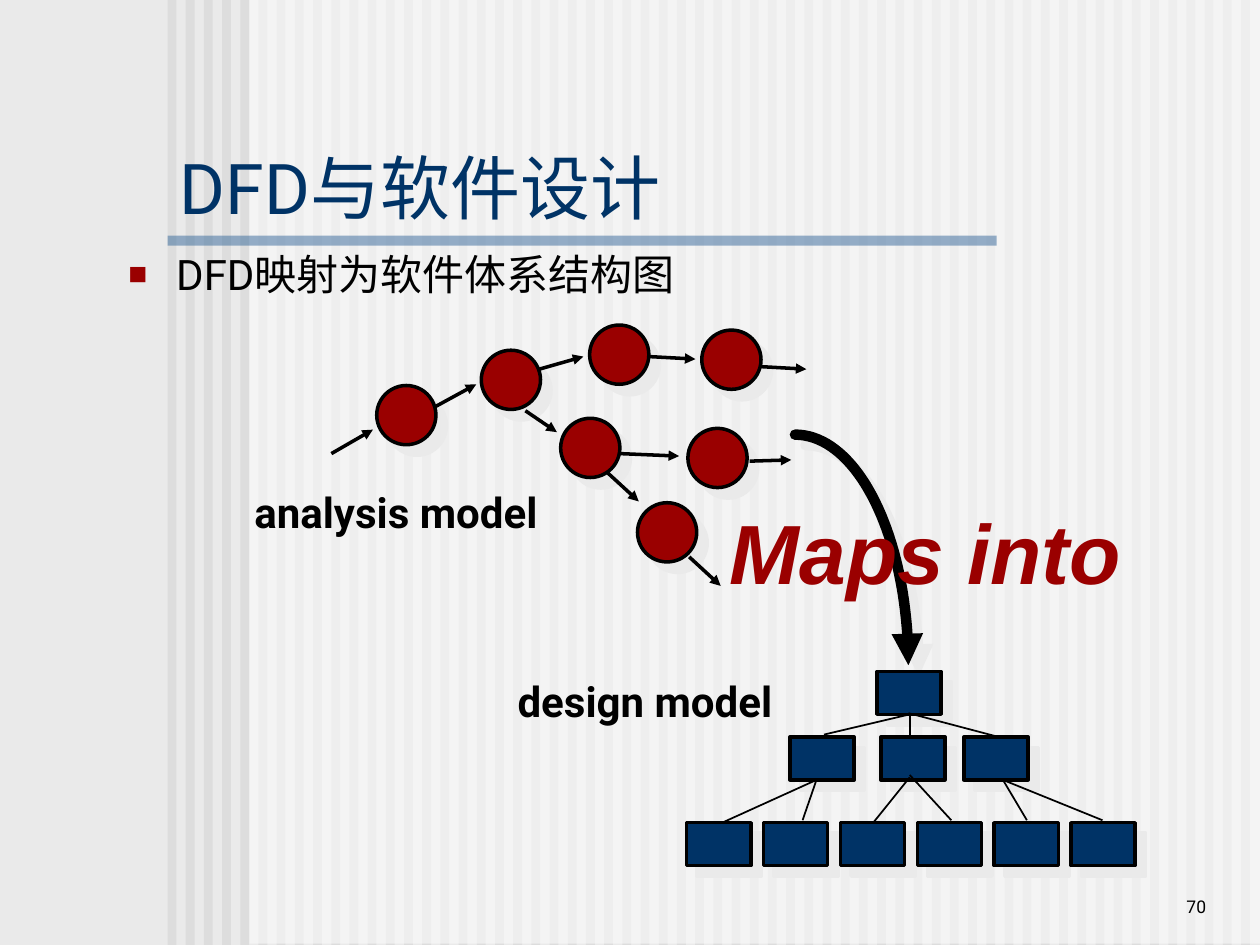
"""Build a slide that maps a data flow diagram onto a software structure chart."""
from typing import NamedTuple

from lxml import etree
from pptx import Presentation
from pptx.dml.color import RGBColor
from pptx.enum.shapes import MSO_CONNECTOR, MSO_SHAPE
from pptx.enum.text import MSO_ANCHOR, PP_ALIGN
from pptx.oxml.ns import qn
from pptx.util import Inches, Pt

RECT = MSO_SHAPE.RECTANGLE
OVAL = MSO_SHAPE.OVAL
STRAIGHT = MSO_CONNECTOR.STRAIGHT
TOP, BOTTOM = MSO_ANCHOR.TOP, MSO_ANCHOR.BOTTOM
LEFT, RIGHT = PP_ALIGN.LEFT, PP_ALIGN.RIGHT

BLACK = RGBColor(0x00, 0x00, 0x00)
WHITE = RGBColor(0xFF, 0xFF, 0xFF)
NAVY = RGBColor(0x00, 0x33, 0x66)
BLUE = RGBColor(0x33, 0x66, 0x99)
RED = RGBColor(0x9A, 0x00, 0x00)
PALE = RGBColor(0xEA, 0xEA, 0xEA)
STRIPE = RGBColor(0xDD, 0xDD, 0xDD)

STRIPES = 60
STRIPE_LEFT, STRIPE_LAST = 1.33, 9.85
CIRCLE = 0.47
BOX_W, BOX_H = 0.51, 0.34
CURVE_STEPS = 40


class Label(NamedTuple):
    text: str
    at: tuple[float, float, float, float]
    size: float
    color: RGBColor = BLACK
    font: str = "Roboto"
    bold: bool = False
    italic: bool = False
    wrap: bool = True
    anchor: MSO_ANCHOR = TOP
    align: PP_ALIGN = LEFT


class Link(NamedTuple):
    x1: float
    y1: float
    x2: float
    y2: float


TITLE = Label("DFD与软件设计", (1.33, 1.17, 8.67, 0.69), 40, NAVY, anchor=BOTTOM)
BODY = Label("DFD映射为软件体系结构图", (0.92, 1.92, 9.08, 0.5), 24)
NUMBER = Label("70", (8.25, 6.83, 1.42, 0.5), 10, anchor=BOTTOM, align=RIGHT)
MAPS = Label("Maps into", (5.69, 3.92, 3.31, 0.9), 48, RED, "Arial", True, True, False)
MODELS = [
    Label("analysis model", (1.92, 3.81, 2.59, 0.5), 24, bold=True, wrap=False),
    Label("design model", (4.01, 5.31, 2.34, 0.5), 24, bold=True, wrap=False),
]

CURVE = [(6.31, 3.45), (6.81, 3.45), (7.21, 4.27), (7.21, 5.28)]
PROCESSES = [(2.99, 3.06), (3.82, 2.78), (4.68, 2.58), (4.45, 3.32),
             (5.06, 3.99), (5.57, 2.62), (5.46, 3.4)]
FLOWS = [
    Link(2.63, 3.6, 2.96, 3.41), Link(3.45, 3.23, 3.78, 3.05),
    Link(4.28, 2.93, 4.63, 2.83), Link(5.15, 2.83, 5.52, 2.85),
    Link(6.04, 2.91, 6.4, 2.93), Link(4.17, 3.26, 4.42, 3.43),
    Link(4.82, 3.75, 5.07, 3.98), Link(5.47, 4.42, 5.72, 4.65),
    Link(5.95, 3.66, 6.28, 3.65), Link(4.92, 3.6, 5.39, 3.62),
]
MODULES = ([(6.96, 5.33)] + [(x, 5.85) for x in (6.27, 6.99, 7.65)]
           + [(5.45 + 0.61 * i, 6.53) for i in range(6)])
CALLS = [
    Link(7.22, 5.67, 6.54, 5.83), Link(7.22, 5.67, 7.22, 5.83),
    Link(7.21, 5.66, 7.93, 5.85), Link(6.48, 6.19, 5.73, 6.53),
    Link(6.48, 6.19, 6.37, 6.51), Link(7.22, 6.17, 6.93, 6.53),
    Link(7.22, 6.15, 7.55, 6.51), Link(7.96, 6.19, 8.15, 6.51),
    Link(7.96, 6.19, 8.75, 6.51),
]


def add_panel(s, x: float, y: float, w: float, h: float, color: RGBColor, alpha: int = 100):
    """Draw a borderless rectangle with the given opacity in percent."""
    sp = s.shapes.add_shape(RECT, Inches(x), Inches(y), Inches(w), Inches(h))
    sp.shadow.inherit = False
    sp.fill.solid()
    sp.fill.fore_color.rgb = color
    sp.line.fill.background()
    if alpha < 100:
        clr = sp.fill._xPr.find(".//" + qn("a:srgbClr"))
        etree.SubElement(clr, qn("a:alpha")).set("val", str(alpha * 1000))


def add_shadow(sp) -> None:
    """Give a shape a pale hard shadow to the lower right."""
    sp.shadow.inherit = False
    effects = sp._element.spPr.find(qn("a:effectLst"))
    shadow = etree.SubElement(effects, qn("a:outerShdw"), dist=str(Pt(8.5)),
                              dir="2700000", algn="ctr", rotWithShape="0")
    etree.SubElement(shadow, qn("a:srgbClr"), val=str(PALE))


def add_arrowhead(sp) -> None:
    """Put a triangle at the end of a line."""
    etree.SubElement(sp.line._get_or_add_ln(), qn("a:tailEnd"), type="triangle")


def add_node(s, kind: MSO_SHAPE, x: float, y: float, w: float, h: float, color: RGBColor):
    """Draw an outlined, shadowed diagram node."""
    sp = s.shapes.add_shape(kind, Inches(x), Inches(y), Inches(w), Inches(h))
    add_shadow(sp)
    sp.fill.solid()
    sp.fill.fore_color.rgb = color
    sp.line.color.rgb = BLACK
    sp.line.width = Pt(2)


def add_link(s, link: Link, width: float, arrow: bool) -> None:
    """Draw a straight line, with an arrowhead if asked."""
    cx = s.shapes.add_connector(STRAIGHT, *(Inches(v) for v in link))
    cx.line.color.rgb = BLACK
    cx.line.width = Pt(width)
    if arrow:
        add_arrowhead(cx)
    etree.SubElement(cx._element.spPr, qn("a:effectLst"))


def add_curve(s) -> None:
    """Draw the thick curved arrow from one model to the other."""
    points = []
    for i in range(CURVE_STEPS + 1):
        t = i / CURVE_STEPS
        weights = ((1 - t) ** 3, 3 * t * (1 - t) ** 2, 3 * t * t * (1 - t), t ** 3)
        points.append(tuple(Inches(sum(w * pt[axis] for w, pt in zip(weights, CURVE)))
                            for axis in (0, 1)))
    fb = s.shapes.build_freeform(*points[0])
    fb.add_line_segments(points[1:], close=False)
    sp = fb.convert_to_shape()
    add_shadow(sp)
    sp.fill.background()
    sp.line.color.rgb = BLACK
    sp.line.width = Pt(6)
    ln = sp.line._get_or_add_ln()
    ln.set("cap", "rnd")
    etree.SubElement(ln, qn("a:round"))
    add_arrowhead(sp)


def add_label(s, label: Label, bullet: bool = False) -> None:
    """Write one line of text, optionally with a square red bullet."""
    tf = s.shapes.add_textbox(*(Inches(v) for v in label.at)).text_frame
    tf.word_wrap = label.wrap
    tf.vertical_anchor = label.anchor
    p = tf.paragraphs[0]
    p.alignment = label.align
    if bullet:
        pPr = p._p.get_or_add_pPr()
        pPr.set("marL", str(Inches(0.38)))
        pPr.set("indent", str(-Inches(0.38)))
        etree.SubElement(etree.SubElement(pPr, qn("a:buClr")), qn("a:srgbClr"), val=str(RED))
        etree.SubElement(pPr, qn("a:buSzPct"), val="75000")
        etree.SubElement(pPr, qn("a:buFont"), typeface="Arial")
        etree.SubElement(pPr, qn("a:buChar"), char="■")
    r = p.add_run()
    r.text = label.text
    r.font.name = label.font
    r.font.size = Pt(label.size)
    r.font.bold = label.bold
    r.font.italic = label.italic
    r.font.color.rgb = label.color


def main() -> None:
    """Build and save the slide."""
    prs = Presentation()
    prs.slide_width, prs.slide_height = Inches(10), Inches(7.5)
    s = prs.slides.add_slide(prs.slide_layouts[6])
    s.background.fill.solid()
    s.background.fill.fore_color.rgb = PALE
    pitch = (STRIPE_LAST - STRIPE_LEFT) / (STRIPES - 1)
    for i in range(STRIPES):
        add_panel(s, STRIPE_LEFT + i * pitch, 0, 0.07, 7.5, STRIPE)
    add_panel(s, 1.98, -0.01, 8.02, 7.5, WHITE, 50)
    add_panel(s, 1.33, 1.87, 6.58, 0.08, BLUE, 50)
    add_label(s, NUMBER)
    add_label(s, TITLE)
    add_label(s, BODY, bullet=True)
    add_curve(s)
    add_label(s, MAPS)
    for x, y in PROCESSES:
        add_node(s, OVAL, x, y, CIRCLE, CIRCLE, RED)
    for flow in FLOWS:
        add_link(s, flow, 2, True)
    for x, y in MODULES:
        add_node(s, RECT, x, y, BOX_W, BOX_H, NAVY)
    for label in MODELS:
        add_label(s, label)
    for call in CALLS:
        add_link(s, call, 1, False)
    prs.save("out.pptx")


if __name__ == "__main__":
    main()
